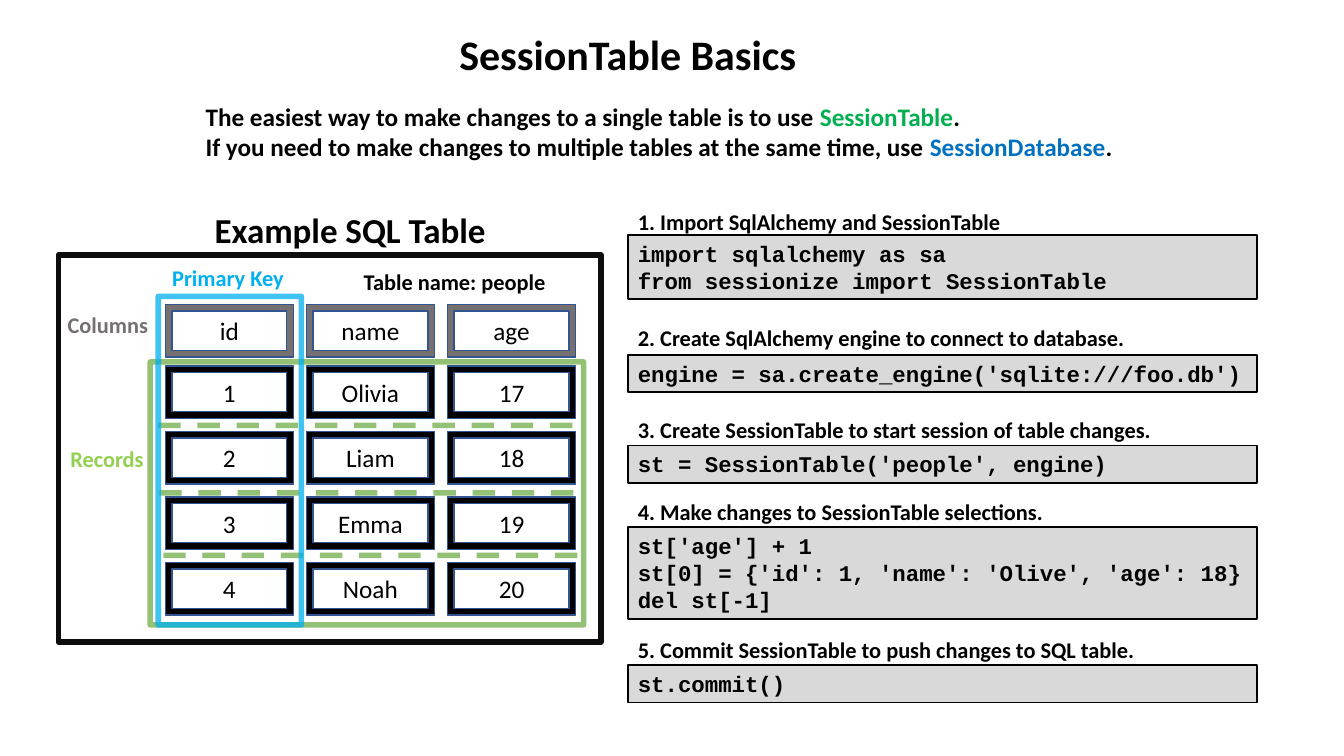
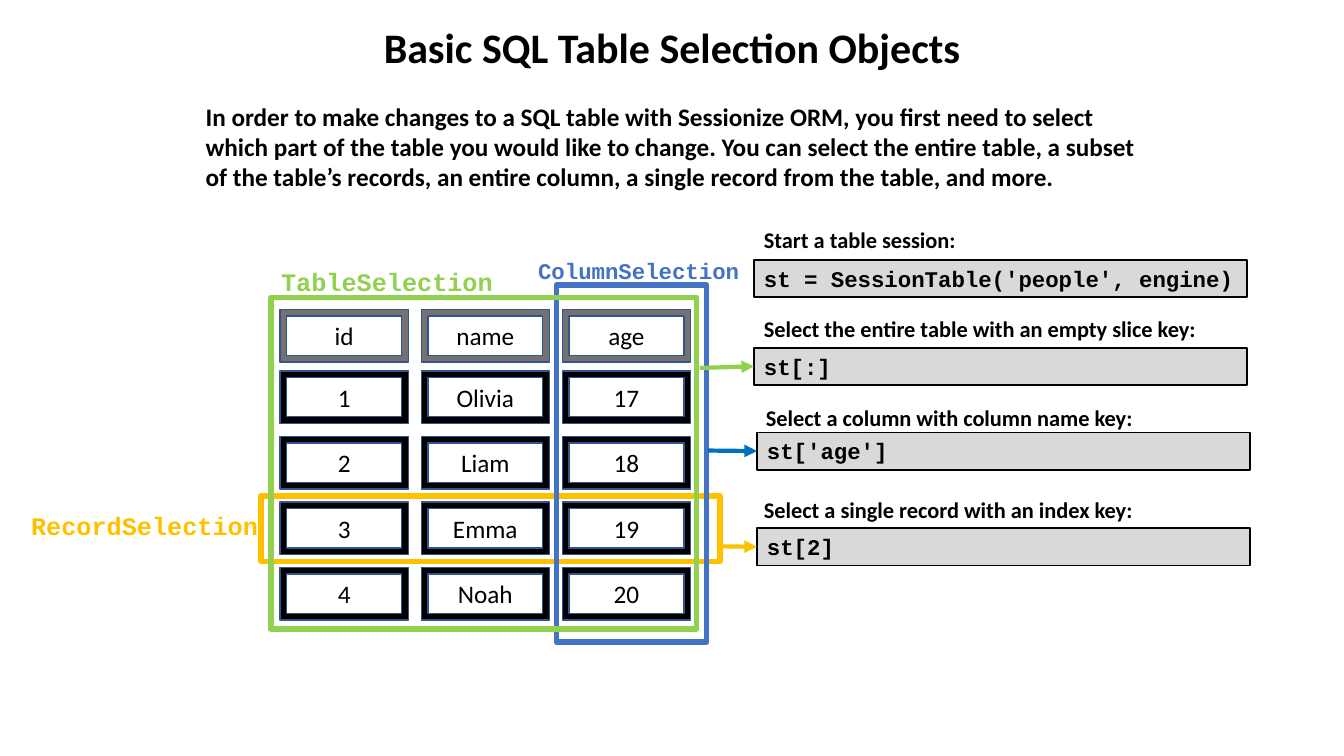
from dataclasses import dataclass
from typing import Any, NamedTuple

from lxml.etree import SubElement
from pptx import Presentation
from pptx.dml.color import RGBColor
from pptx.enum.dml import MSO_LINE
from pptx.enum.shapes import MSO_CONNECTOR, MSO_SHAPE
from pptx.enum.text import MSO_ANCHOR, MSO_AUTO_SIZE, PP_ALIGN
from pptx.oxml.ns import qn
from pptx.util import Inches, Pt

# Page grid: every position is given in columns and rows of a tenth of an inch
UNIT = Inches(0.1)
PAGE_COLUMNS, PAGE_ROWS = 133.33, 75

# Shared colours
BLACK, GRAY, PALE, WHITE = "000000", "767171", "D9D9D9", "FFFFFF"
EDGE, INK = "325491", "0D0D0D"
LIME, GREEN, LEAF = "92D050", "70AD47", "00B050"
SKY, BLUE, OCEAN, GOLD = "00B0F0", "4472C4", "0070C0", "FFC000"

# Shared text formats
TITLE = {"name": "Calibri", "size": Pt(30), "bold": True}
INTRO = {"name": "Calibri", "size": Pt(18), "bold": True}
HEADING = {"name": "Calibri", "size": Pt(25), "bold": True}
CAPTION = {"name": "Calibri", "size": Pt(16), "bold": True}
CELL = {"name": "Calibri", "size": Pt(18), "bold": False}
CODE = {"name": "Courier New", "size": Pt(16), "bold": True}
SELECTION = {"name": "Courier New", "size": Pt(18), "bold": True}
FRAME_TOP = {"word_wrap": True, "vertical_anchor": MSO_ANCHOR.TOP,
             "auto_size": MSO_AUTO_SIZE.NONE}
FRAME_GROW = {**FRAME_TOP, "auto_size": MSO_AUTO_SIZE.SHAPE_TO_FIT_TEXT}
FRAME_MIDDLE = {**FRAME_TOP, "vertical_anchor": MSO_ANCHOR.MIDDLE}

# Sample table and its spacing
PEOPLE = [("id", "name", "age"), ("1", "Olivia", "17"), ("2", "Liam", "18"),
          ("3", "Emma", "19"), ("4", "Noah", "20")]
CELL_WIDTH, CELL_HEIGHT, COLUMN_STEP = 12.7, 5.2, 14
HEADER_STEP, RECORD_STEP = 6.1, 6.5
LINE_HEIGHT, ONE_LINE = 2.7, 3.7


class Area(NamedTuple):
    column: float
    row: float
    columns: float
    rows: float


class Span(NamedTuple):
    text: str
    color: str = BLACK


@dataclass
class Label:
    text: str
    area: Area
    style: dict[str, Any]
    color: str = BLACK
    align: PP_ALIGN = PP_ALIGN.LEFT


@dataclass
class Outline:
    area: Area
    color: str
    opacity: int = 100


@dataclass
class Step:
    caption: str
    caption_row: float
    code: list[str]
    code_row: float
    column: float
    columns: float
    caption_shift: float = 0


@dataclass
class Arrow:
    column: float
    row: float
    color: str
    step: int


def color(value: str) -> RGBColor:
    return RGBColor.from_string(value)


def grid(*counts: float) -> list[int]:
    return [round(count * UNIT) for count in counts]


def assign(target: Any, values: dict[str, Any]) -> None:
    for name, value in values.items():
        setattr(target, name, value)


def write(frame: Any, paragraphs: list[list[Span]], style: dict[str, Any],
          align: PP_ALIGN = PP_ALIGN.LEFT, plain_list: bool = False) -> None:
    for index, spans in enumerate(paragraphs):
        para = frame.add_paragraph() if index else frame.paragraphs[0]
        if plain_list:
            properties = para._p.get_or_add_pPr()
            assign_indent = {"marL": "0", "indent": "0"}
            for name, value in assign_indent.items():
                properties.set(name, value)
            SubElement(properties, qn("a:buNone"))
        assign(para, {"alignment": align, "space_before": Pt(0)})
        for text, shade in spans:
            span = para.add_run()
            span.text = text
            assign(span.font, style)
            span.font.color.rgb = color(shade)


def fade(shape: Any, opacity: int) -> None:
    if opacity < 100:
        for shade in shape._element.spPr.iter(qn("a:srgbClr")):
            SubElement(shade, qn("a:alpha"), val=str(opacity * 1000))


def draw_shape(page: Any, preset: MSO_SHAPE, area: Area, fill: str | None,
               line: str, weight: float) -> Any:
    shape = page.shapes.add_shape(preset, *grid(*area))
    shape.shadow.inherit = False
    if fill:
        shape.fill.solid()
        shape.fill.fore_color.rgb = color(fill)
    else:
        shape.fill.background()
    shape.line.color.rgb = color(line)
    shape.line.width = Pt(weight)
    return shape


def draw_outline(page: Any, outline: Outline) -> None:
    box = draw_shape(page, MSO_SHAPE.RECTANGLE, outline.area, None, outline.color, 4)
    fade(box, outline.opacity)


def draw_label(page: Any, label: Label) -> None:
    box = page.shapes.add_textbox(*grid(*label.area))
    assign(box.text_frame, FRAME_GROW)
    write(box.text_frame, [[Span(label.text, label.color)]], label.style, label.align)


def draw_people(page: Any, column: float, row: float) -> None:
    for index, record in enumerate(PEOPLE):
        top = row + (HEADER_STEP + (index - 1) * RECORD_STEP if index else 0)
        for position, value in enumerate(record):
            area = Area(column + position * COLUMN_STEP, top, CELL_WIDTH, CELL_HEIGHT)
            cell = draw_shape(page, MSO_SHAPE.FRAME, area,
                              BLACK if index else GRAY, EDGE, 1)
            assign(cell.text_frame, FRAME_MIDDLE)
            write(cell.text_frame, [[Span(value)]], CELL, PP_ALIGN.CENTER)


def draw_step(page: Any, step: Step) -> Any:
    height = ONE_LINE + LINE_HEIGHT * (len(step.code) - 1)
    area = Area(step.column, step.code_row, step.columns, height)
    box = draw_shape(page, MSO_SHAPE.RECTANGLE, area, PALE, BLACK, 1.25)
    assign(box.text_frame, FRAME_GROW)
    write(box.text_frame, [[Span(line)] for line in step.code], CODE)
    draw_label(page, Label(step.caption, Area(step.column + step.caption_shift,
                                              step.caption_row, step.columns, ONE_LINE), CAPTION))
    return box


def draw_line(page: Any, start: tuple[float, float], end: tuple[float, float],
              shade: str, weight: float) -> Any:
    line = page.shapes.add_connector(MSO_CONNECTOR.STRAIGHT, *grid(*start, *end))
    line.line.color.rgb = color(shade)
    line.line.width = Pt(weight)
    SubElement(line._element.spPr, qn("a:effectLst"))
    return line


def draw_divider(page: Any, column: float, row: float) -> None:
    line = draw_line(page, (column, row), (column + 42.2, row), GREEN, 4)
    line.line.dash_style = MSO_LINE.DASH
    fade(line, 75)


def draw_arrow(page: Any, arrow: Arrow, target: Any) -> None:
    start = (arrow.column, arrow.row)
    line = draw_line(page, start, start, arrow.color, 3)
    line.end_connect(target, 1)
    SubElement(line.line._get_or_add_ln(), qn("a:tailEnd"), type="triangle")


def add_page(deck: Any, title: str, title_area: Area,
             intro: list[list[Span]], intro_rows: float) -> Any:
    page = deck.slides.add_slide(deck.slide_layouts[1])
    page.background.fill.solid()
    page.background.fill.fore_color.rgb = color(WHITE)
    parts = [
        (page.shapes.title, title_area, [[Span(title)]], TITLE, PP_ALIGN.CENTER, False),
        (page.placeholders[1], Area(19.4, 9.5, 94.6, intro_rows), intro, INTRO,
         PP_ALIGN.LEFT, True),
    ]
    for holder, area, paragraphs, style, align, plain_list in parts:
        assign(holder, dict(zip(("left", "top", "width", "height"), grid(*area))))
        assign(holder.text_frame, FRAME_TOP)
        write(holder.text_frame, paragraphs, style, align, plain_list)
    return page


def add_basics(deck: Any) -> None:
    page = add_page(deck, "SessionTable Basics", Area(28.4, 2.3, 67.8, 6.1), [
        [Span("The easiest way to make changes to a single table is to use "),
         Span("SessionTable", LEAF), Span(".")],
        [Span("If you need to make changes to multiple tables at the same time, use "),
         Span("SessionDatabase", OCEAN), Span(".")],
    ], 7.1)

    # Example table with its key, columns and records marked
    draw_outline(page, Outline(Area(5.8, 25.3, 53.8, 38.4), INK))
    draw_people(page, 16.4, 30.2)
    draw_outline(page, Outline(Area(14.9, 35.9, 43, 26.1), GREEN, 75))
    for column, row in [(15.7, 42.2), (15.8, 48.9), (16.2, 55.1)]:
        draw_divider(page, column, row)
    draw_outline(page, Outline(Area(15.7, 29.4, 14.2, 32.6), SKY, 75))
    for label in [
        Label("Example SQL Table", Area(20.3, 20.2, 29.7, 5.2), HEADING),
        Label("Columns", Area(5.4, 30.4, 10.6, 3.7), CAPTION, GRAY, PP_ALIGN.CENTER),
        Label("Records", Area(6, 43.7, 10.4, 3.7), CAPTION, LIME),
        Label("Primary Key", Area(16.1, 25.7, 14.2, 3.7), CAPTION, SKY),
        Label("Table name: people", Area(35.1, 26.1, 22.6, 3.7), CAPTION),
    ]:
        draw_label(page, label)

    # Numbered code steps
    for caption, caption_row, code, code_row in [
        ("1. Import SqlAlchemy and SessionTable", 20.2,
         ["import sqlalchemy as sa", "from sessionize import SessionTable"], 23.3),
        ("2. Create SqlAlchemy engine to connect to database.", 31.7,
         ["engine = sa.create_engine('sqlite:///foo.db')"], 35.2),
        ("3. Create SessionTable to start session of table changes.", 40.8,
         ["st = SessionTable('people', engine)"], 44.2),
        ("4. Make changes to SessionTable selections.", 48.9,
         ["st['age'] + 1", "st[0] = {'id': 1, 'name': 'Olive', 'age': 18}",
          "del st[-1]"], 52.3),
        ("5. Commit SessionTable to push changes to SQL table.", 62.6,
         ["st.commit()"], 66),
    ]:
        draw_step(page, Step(caption, caption_row, code, code_row, 62.3, 62.4))


def add_selections(deck: Any) -> None:
    page = add_page(deck, "Basic SQL Table Selection Objects", Area(32.8, 1.6, 67.8, 6.1), [
        [Span("In order to make changes to a SQL table with Sessionize ORM, you first need "
              "to select which part of the table you would like to change. You can select "
              "the entire table, a subset of the table’s records, an entire column, a "
              "single record from the table, and more.")],
    ], 10.1)

    # Table with the three kinds of selection
    draw_outline(page, Outline(Area(25.9, 49.2, 45.5, 6.5), GOLD))
    draw_outline(page, Outline(Area(55.2, 28.3, 14.9, 35.4), BLUE))
    draw_people(page, 27.8, 30.7)
    draw_outline(page, Outline(Area(26.9, 29.5, 42.2, 32.9), LIME))
    for label in [
        Label("TableSelection", Area(26.9, 25.9, 23.6, 4), SELECTION, LIME),
        Label("ColumnSelection", Area(52.4, 25, 23.6, 3.7), CODE, BLUE),
        Label("RecordSelection", Area(2.1, 50.1, 24.8, 4), SELECTION, GOLD),
    ]:
        draw_label(page, label)

    # Code for each selection, with arrows from the table
    boxes = [draw_step(page, step) for step in [
        Step("Start a table session:", 21.9,
             ["st = SessionTable('people', engine)"], 25.8, 74.8, 48.9),
        Step("Select the entire table with an empty slice key:", 30.8,
             ["st[:]"], 34.5, 74.8, 48.9),
        Step("Select a column with column name key:", 39.6,
             ["st['age']"], 42.9, 75.1, 48.9, -0.1),
        Step("Select a single record with an index key:", 48.7,
             ["st[2]"], 52.4, 75.1, 48.9, -0.3),
    ]]
    for arrow in [Arrow(69.4, 36.5, LIME, 1), Arrow(70.2, 44.7, OCEAN, 2),
                  Arrow(71.3, 54.2, GOLD, 3)]:
        draw_arrow(page, arrow, boxes[arrow.step])


def main() -> None:
    deck = Presentation()
    deck.slide_width, deck.slide_height = grid(PAGE_COLUMNS, PAGE_ROWS)
    add_basics(deck)
    add_selections(deck)
    deck.save("out.pptx")


if __name__ == "__main__":
    main()
